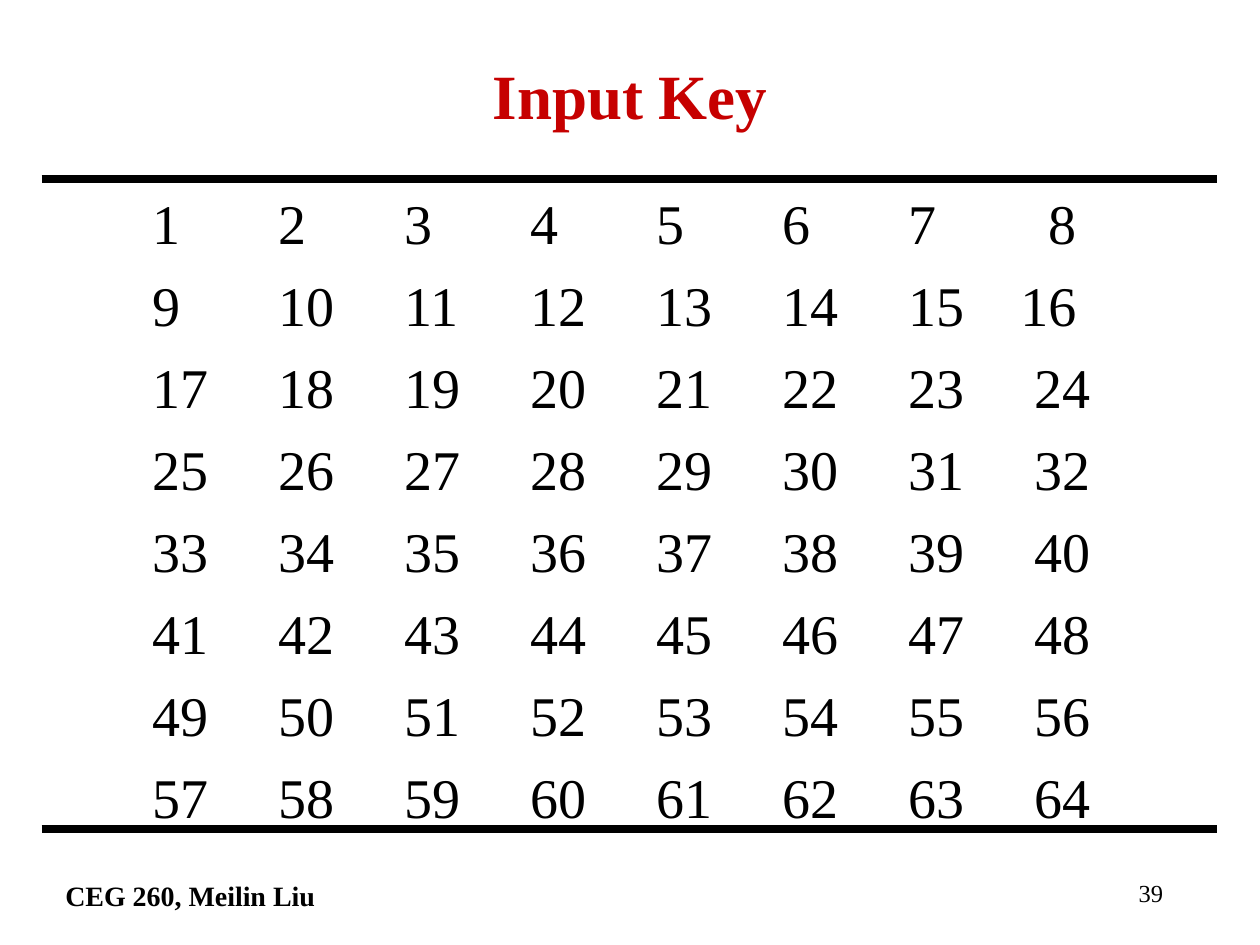
from lxml import etree
from pptx import Presentation
from pptx import util as u
from pptx.dml.color import RGBColor
from pptx.enum import shapes, text
from pptx.oxml import ns

BLACK = RGBColor(0x00, 0x00, 0x00)
RED = RGBColor(0xC6, 0x00, 0x00)
FONT = "Times New Roman"
KEY_SIZE = 8


def write(paragraph, content, size=32, color=BLACK, bold=False,
          align=text.PP_ALIGN.LEFT, before=0, line=None, tabs=()):
    """Fill a paragraph with formatted text and optional tab stops."""
    if tabs:
        stops = etree.SubElement(paragraph._p.get_or_add_pPr(), ns.qn("a:tabLst"))
        for stop in tabs:
            etree.SubElement(stops, ns.qn("a:tab"), pos=str(u.Inches(stop)), algn="l")
    paragraph.alignment = align
    paragraph.space_before = u.Pt(before)
    if line:
        paragraph.line_spacing = line
    run = paragraph.add_run()
    run.text = content
    run.font.name = FONT
    run.font.size = u.Pt(size)
    run.font.bold = bold
    run.font.color.rgb = color


class KeySlide:
    """Hold the slide and draw each kind of element in its style."""

    def __init__(self, presentation):
        self.slide = presentation.slides.add_slide(presentation.slide_layouts[5])

    def title(self, content):
        heading = self.slide.shapes.title
        heading.left, heading.top = u.Inches(0.75), u.Inches(0.33)
        heading.width, heading.height = u.Inches(8.5), u.Inches(0.83)
        heading.text_frame.vertical_anchor = text.MSO_ANCHOR.MIDDLE
        write(heading.text_frame.paragraphs[0], content, size=36, color=RED,
              bold=True, align=text.PP_ALIGN.CENTER)

    def frame(self, left, top, width, height):
        box = self.slide.shapes.add_textbox(*map(u.Inches, (left, top, width, height)))
        box.text_frame.word_wrap = True
        return box.text_frame

    def footer(self, content, left, width, **style):
        write(self.frame(left, 6.92, width, 0.42).paragraphs[0], content, **style)

    def grid(self, rows):
        key = self.frame(1.11, 1.59, 7.71, 5.03)
        for index, (content, last_stop) in enumerate(rows):
            paragraph = key.add_paragraph() if index else key.paragraphs[0]
            write(paragraph, content, before=20 if index else 0, line=0.7,
                  tabs=[*range(1, KEY_SIZE - 1), last_stop])

    def rule(self, y):
        line = self.slide.shapes.add_connector(
            shapes.MSO_CONNECTOR.STRAIGHT,
            u.Inches(0.33), u.Inches(y), u.Inches(9.66), u.Inches(y))
        line.line.color.rgb = BLACK
        line.line.width = u.Pt(4.5)
        etree.SubElement(line._element.spPr, ns.qn("a:effectLst"))


def key_rows():
    """Yield each row of bit numbers with its last tab stop."""
    last_stops = {0: 7.11, 1: 6.89}
    for row in range(KEY_SIZE):
        first = row * KEY_SIZE + 1
        numbers = map(str, range(first, first + KEY_SIZE))
        yield "\t".join(numbers), last_stops.get(row, 7)


def main():
    """Build the slide and save it."""
    presentation = Presentation()
    presentation.slide_width = u.Inches(10)
    presentation.slide_height = u.Inches(7.5)
    page = KeySlide(presentation)
    page.footer("CEG 260, Meilin Liu", 0.42, 6.33, size=16, bold=True)
    page.footer("39", 7.25, 2.08, size=14, align=text.PP_ALIGN.RIGHT)
    page.title("Input Key")
    page.grid(key_rows())
    for y in (1.42, 6.58):
        page.rule(y)
    presentation.save("out.pptx")


if __name__ == "__main__":
    main()
